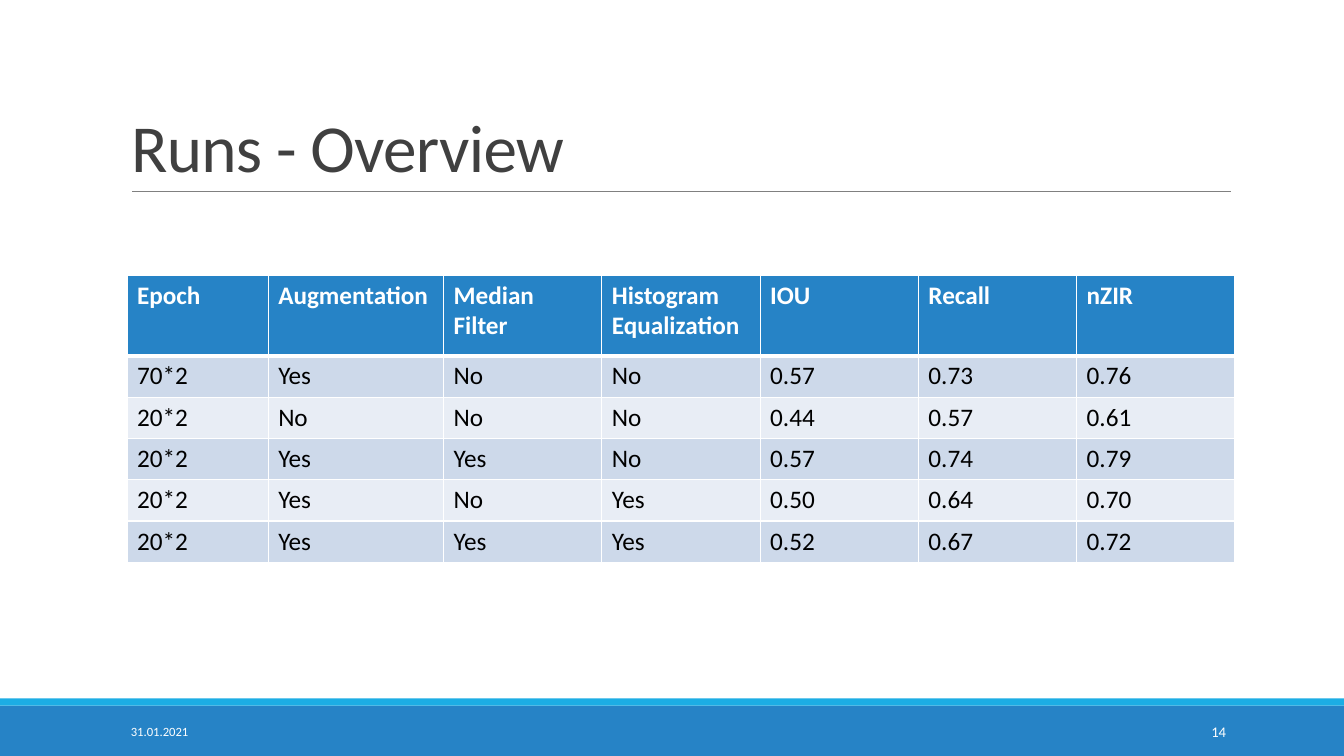
from dataclasses import dataclass

from lxml import etree
from pptx import Presentation
from pptx.dml.color import RGBColor
from pptx.enum.shapes import MSO_CONNECTOR, MSO_SHAPE
from pptx.enum.text import MSO_ANCHOR, MSO_AUTO_SIZE, PP_ALIGN
from pptx.oxml.ns import qn
from pptx.util import Emu, Pt

LEFT, RIGHT = PP_ALIGN.LEFT, PP_ALIGN.RIGHT
MIDDLE, BOTTOM = MSO_ANCHOR.MIDDLE, MSO_ANCHOR.BOTTOM
NO_FIT = MSO_AUTO_SIZE.NONE
RECT, STRAIGHT = MSO_SHAPE.RECTANGLE, MSO_CONNECTOR.STRAIGHT
TITLE_ONLY = 5
EMU_PER_PX = 9144  # 100 px to the inch
WIDTH, HEIGHT = 1333, 750


@dataclass(frozen=True)
class Theme:
    font: str = "Calibri"
    blue: str = "2683C6"
    cyan: str = "1CADE4"
    gray: str = "808080"
    title: str = "404040"
    white: str = "FFFFFF"
    black: str = "000000"
    bands: tuple = ("CDD9EA", "E8EDF5")
    title_size: float = 48
    table_size: float = 18
    date_size: float = 9
    number_size: float = 10.5


def px(n):
    return Emu(n * EMU_PER_PX)


def rgb(color):
    return RGBColor.from_string(color)


class Deck:
    def __init__(self, theme):
        self.theme = theme
        self.prs = Presentation()
        self.prs.slide_width, self.prs.slide_height = px(WIDTH), px(HEIGHT)
        self.s = self.prs.slides.add_slide(self.prs.slide_layouts[TITLE_ONLY])

    def add_text(self, tf, text, size, color, align=LEFT, bold=False):
        p = tf.paragraphs[0]
        p.alignment = align
        r = p.add_run()
        r.text = text
        fmt = {"name": self.theme.font, "size": Pt(size), "bold": bold}
        for name, value in fmt.items():
            setattr(r.font, name, value)
        r.font.color.rgb = rgb(color)
        return p, r

    def frame(self, tf, anchor):
        fmt = {"word_wrap": True, "auto_size": NO_FIT, "vertical_anchor": anchor}
        for name, value in fmt.items():
            setattr(tf, name, value)

    def title(self, text, x, y, w, h):
        sp = self.s.shapes.title
        sp.left, sp.top, sp.width, sp.height = map(px, (x, y, w, h))
        self.frame(sp.text_frame, BOTTOM)
        p, r = self.add_text(sp.text_frame, text, self.theme.title_size, self.theme.title)
        p.line_spacing = 0.85
        r._r.get_or_add_rPr().set("spc", "-50")

    def bar(self, y, h, color):
        sp = self.s.shapes.add_shape(RECT, *map(px, (0, y, WIDTH, h)))
        sp.shadow.inherit = False
        sp.fill.solid()
        sp.fill.fore_color.rgb = rgb(color)
        sp.line.fill.background()

    def rule(self, x1, x2, y):
        line = self.s.shapes.add_connector(STRAIGHT, *map(px, (x1, y, x2, y)))
        line.line.color.rgb = rgb(self.theme.gray)
        line.line.width = Pt(0.5)
        etree.SubElement(line._element.spPr, qn("a:effectLst"))

    def text(self, text, x, y, w, h, size, align=LEFT):
        sp = self.s.shapes.add_textbox(*map(px, (x, y, w, h)))
        self.frame(sp.text_frame, MIDDLE)
        self.add_text(sp.text_frame, text, size, self.theme.white, align)

    def border(self, cell, side, width):
        ln = etree.SubElement(cell._tc.get_or_add_tcPr(), qn(f"a:ln{side}"), w=str(Pt(width)))
        fill = etree.SubElement(ln, qn("a:solidFill"))
        etree.SubElement(fill, qn("a:srgbClr"), val=self.theme.white)

    def table(self, rows, x, y, widths, heights):
        t = self.theme
        box = map(px, (x, y, sum(widths), sum(heights)))
        table = self.s.shapes.add_table(len(rows), len(widths), *box).table
        for col, w in zip(table.columns, widths):
            col.width = px(w)
        for i, (values, h) in enumerate(zip(rows, heights)):
            table.rows[i].height = px(h)
            header = i == 0
            fill = t.blue if header else t.bands[(i - 1) % 2]
            color = t.white if header else t.black
            borders = {"L": 1, "R": 1, "T": 3 if i == 1 else 1, "B": 3 if header else 1}
            for j, value in enumerate(values):
                cell = table.cell(i, j)
                for side, width in borders.items():
                    self.border(cell, side, width)
                cell.fill.solid()
                cell.fill.fore_color.rgb = rgb(fill)
                self.add_text(cell.text_frame, value, t.table_size, color, bold=header)


RUNS = [
    ("Epoch", "Augmentation", "Median Filter", "Histogram Equalization", "IOU", "Recall", "nZIR"),
    ("70*2", "Yes", "No", "No", "0.57", "0.73", "0.76"),
    ("20*2", "No", "No", "No", "0.44", "0.57", "0.61"),
    ("20*2", "Yes", "Yes", "No", "0.57", "0.74", "0.79"),
    ("20*2", "Yes", "No", "Yes", "0.50", "0.64", "0.70"),
    ("20*2", "Yes", "Yes", "Yes", "0.52", "0.67", "0.72"),
]


def main():
    theme = Theme()
    deck = Deck(theme)
    deck.bar(700, 50, theme.blue)
    deck.bar(693, 7, theme.cyan)
    deck.rule(131, 1221, 190)
    deck.title("Runs - Overview", 120, 31, 1100, 159)
    deck.text("31.01.2021", 120, 706, 270, 40, theme.date_size)
    deck.text("14", 1083, 706, 143, 40, theme.number_size, RIGHT)
    deck.table(RUNS, 126, 273, [140, 174] + [157] * 5, [80] + [41] * 5)
    deck.prs.save("out.pptx")


if __name__ == "__main__":
    main()
